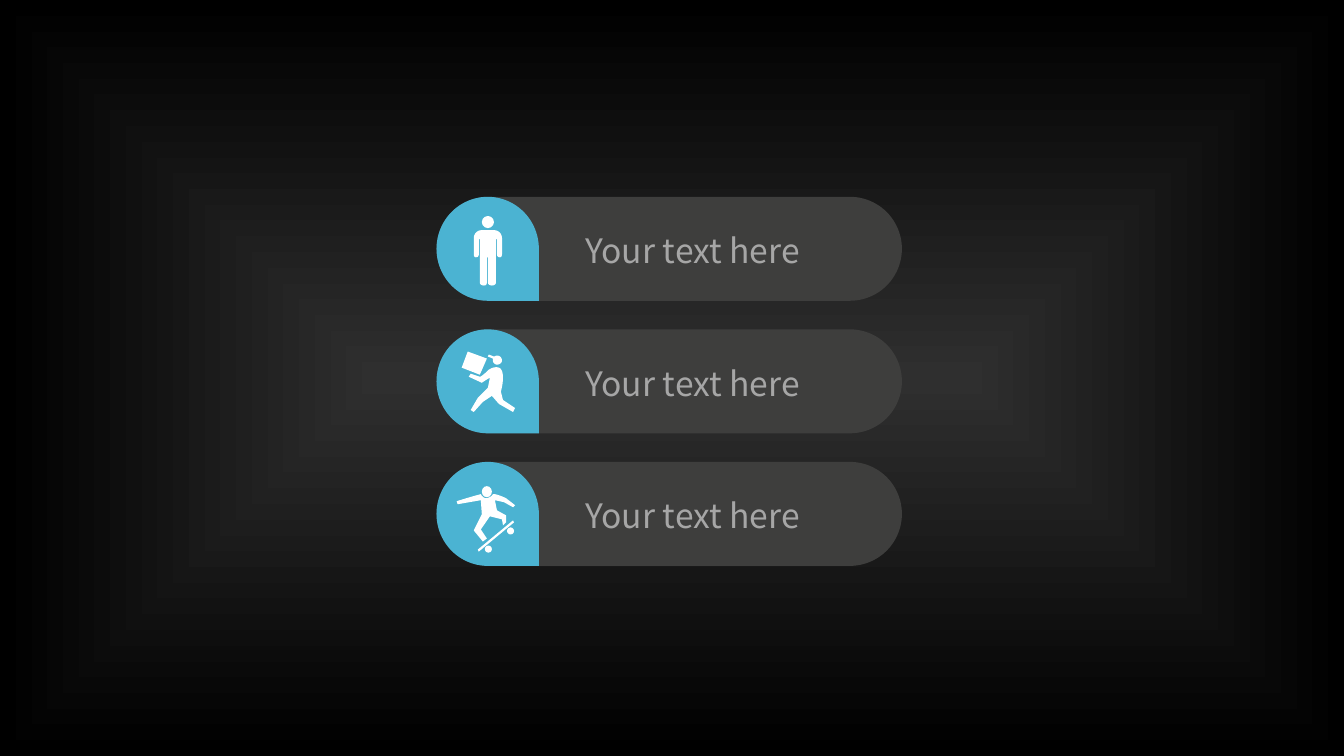
from dataclasses import dataclass

from lxml import etree
from pptx import Presentation
from pptx.dml.color import RGBColor
from pptx.enum.shapes import MSO_SHAPE
from pptx.enum.text import MSO_AUTO_SIZE
from pptx.oxml.ns import qn
from pptx.shapes.autoshape import Shape
from pptx.shapes.group import GroupShape
from pptx.slide import Slide
from pptx.util import Cm, Pt

PILL = MSO_SHAPE.ROUNDED_RECTANGLE
TEAR = MSO_SHAPE.TEAR
OVAL = MSO_SHAPE.OVAL
FIT_SHAPE = MSO_AUTO_SIZE.SHAPE_TO_FIT_TEXT

COLORS = {
    "glow": "2F2F2F",
    "edge": "000000",
    "pill": "3E3E3D",
    "badge": "4BB3D2",
    "icon": "FFFFFF",
    "text": "A6A6A6",
}
FONT = "Noto Sans CJK SC"

LEFT, TOP, PITCH = 11.0, 4.96, 3.34
PILL_WIDTH, BADGE_WIDTH, ROW_HEIGHT = 11.73, 2.58, 2.62
ICON_UNIT = 0.0254  # centimetres per icon grid unit
CURVE_STEPS = 6


@dataclass(frozen=True)
class Oval:
    left: float
    top: float
    width: float
    height: float


@dataclass(frozen=True)
class Outline:
    """Closed outline: pairs are corners, sextuples are Bézier curves."""
    steps: tuple[tuple[float, ...], ...]


@dataclass(frozen=True)
class Row:
    text: str
    icon: tuple[Oval | Outline, ...]


STANDING_MAN = (
    Oval(45, 19, 12, 12),
    Outline((
        (65, 41), (65, 36, 61, 33, 57, 33), (45, 33), (41, 33, 37, 36, 37, 41),
        (37, 57), (37, 59, 38, 60, 39, 60), (41, 60, 42, 59, 42, 57),
        (42, 42), (43, 42), (43, 85), (43, 87, 45, 88, 47, 88),
        (49, 88, 50, 87, 50, 85), (50, 60), (51, 60), (51, 85),
        (51, 87, 53, 88, 55, 88), (57, 88, 59, 87, 59, 85), (59, 42),
        (60, 42), (60, 57), (60, 59, 61, 60, 63, 60), (64, 60, 65, 59, 65, 57),
    )),
)
COURIER = (
    Outline((
        (66, 70), (64, 62), (64, 61, 66, 55, 66, 48), (66, 43, 65, 39, 62, 38),
        (62, 38, 58, 36, 52, 40), (47, 45, 44, 47, 43, 47), (34, 44), (32, 47),
        (45, 53), (45, 53, 51, 49, 53, 48), (51, 58), (41, 68), (34, 80),
        (37, 82), (46, 72), (55, 66), (62, 74), (76, 82), (78, 78),
    )),
    Outline(((31, 22), (25, 38), (43, 45), (50, 29))),
    Outline((
        (60, 26), (59, 26, 58, 27, 57, 27), (52, 25), (51, 27), (56, 29),
        (56, 29, 56, 30, 56, 31), (56, 33, 58, 35, 60, 35),
        (63, 35, 65, 33, 65, 31), (65, 28, 63, 26, 60, 26),
    )),
)
SKATER = (
    Oval(48, 83, 7, 7),
    Oval(70, 65, 7, 7),
    Outline(((41, 87), (42, 89), (77, 60), (76, 58))),
    Outline((
        (44, 67), (53, 54), (65, 57), (66, 63), (69, 60), (69, 53), (60, 48),
        (58, 38), (67, 40), (76, 45), (78, 43), (69, 36),
        (69, 36, 63, 33, 58, 32), (57, 32, 56, 32, 56, 32),
        (55, 34, 52, 36, 49, 36), (47, 36, 45, 34, 44, 32),
        (36, 34, 20, 39, 20, 39), (21, 42), (44, 38), (45, 52), (37, 68),
        (46, 79), (50, 76),
    )),
    Oval(45, 24, 10, 11),
)
ROWS = (
    Row("Your text here", STANDING_MAN),
    Row("Your text here", COURIER),
    Row("Your text here", SKATER),
)


def set_background(slide: Slide) -> None:
    fill = slide.background.fill
    fill.gradient()
    for stop, name in zip(fill.gradient_stops, ("glow", "edge")):
        stop.color.rgb = RGBColor.from_string(COLORS[name])
    gradient = slide.element.find(".//" + qn("a:gradFill"))
    gradient.remove(gradient.find(qn("a:lin")))
    rectangle = etree.SubElement(gradient, qn("a:path"), {"path": "rect"})
    sides = {side: "50000" for side in "ltrb"}
    etree.SubElement(rectangle, qn("a:fillToRect"), sides)


def paint(shape: Shape, color: str) -> None:
    shape.shadow.inherit = False
    shape.fill.solid()
    shape.fill.fore_color.rgb = RGBColor.from_string(COLORS[color])
    shape.line.fill.background()


def add_preset(group: GroupShape, kind: MSO_SHAPE, left: float, top: float,
               width: float, height: float, color: str) -> Shape:
    shape = group.shapes.add_shape(kind, Cm(left), Cm(top), Cm(width), Cm(height))
    paint(shape, color)
    return shape


def flatten(outline: Outline) -> list[tuple[float, float]]:
    """Turn corners and Bézier curves into a list of points."""
    points = [outline.steps[0]]
    for step in outline.steps[1:]:
        if len(step) == 2:
            points.append(step)
            continue
        controls = (points[-1], step[:2], step[2:4], step[4:])
        for index in range(1, CURVE_STEPS + 1):
            t = index / CURVE_STEPS
            weights = ((1 - t) ** 3, 3 * t * (1 - t) ** 2, 3 * t * t * (1 - t), t ** 3)
            points.append(tuple(
                sum(weight * control[axis] for weight, control in zip(weights, controls))
                for axis in (0, 1)
            ))
    return points


def add_icon(slide: Slide, icon: tuple[Oval | Outline, ...], top: float) -> None:
    group = slide.shapes.add_group_shape()
    for part in icon:
        if isinstance(part, Oval):
            add_preset(group, OVAL, LEFT + part.left * ICON_UNIT, top + part.top * ICON_UNIT,
                       part.width * ICON_UNIT, part.height * ICON_UNIT, "icon")
            continue
        points = [(Cm(LEFT + x * ICON_UNIT), Cm(top + y * ICON_UNIT))
                  for x, y in flatten(part)]
        builder = group.shapes.build_freeform(*points[0])
        builder.add_line_segments(points[1:], close=True)
        paint(builder.convert_to_shape(), "icon")


def add_row(slide: Slide, row: Row, top: float) -> None:
    group = slide.shapes.add_group_shape()
    pill = add_preset(group, PILL, LEFT, top, PILL_WIDTH, ROW_HEIGHT, "pill")
    pill.adjustments[0] = 0.5
    # The quarter turn swaps the sides of the badge and points its tip down.
    inset = (ROW_HEIGHT - BADGE_WIDTH) / 2
    badge = add_preset(group, TEAR, LEFT - inset, top + inset,
                       ROW_HEIGHT, BADGE_WIDTH, "badge")
    badge.rotation = 90
    box = group.shapes.add_textbox(Cm(LEFT + 3.5), Cm(top + 0.71), Cm(8.28), Cm(1.28))
    box.text_frame.word_wrap = True
    box.text_frame.auto_size = FIT_SHAPE
    paragraph = box.text_frame.paragraphs[0]
    paragraph.text = row.text
    paragraph.font.name = FONT
    paragraph.font.size = Pt(24)
    paragraph.font.color.rgb = RGBColor.from_string(COLORS["text"])


def main() -> None:
    presentation = Presentation()
    presentation.slide_width = Cm(33.87)
    presentation.slide_height = Cm(19.05)
    slide = presentation.slides.add_slide(presentation.slide_layouts[6])
    set_background(slide)
    for index, row in enumerate(ROWS):
        top = TOP + index * PITCH
        add_row(slide, row, top)
        add_icon(slide, row.icon, top)
    presentation.save("out.pptx")


if __name__ == "__main__":
    main()
